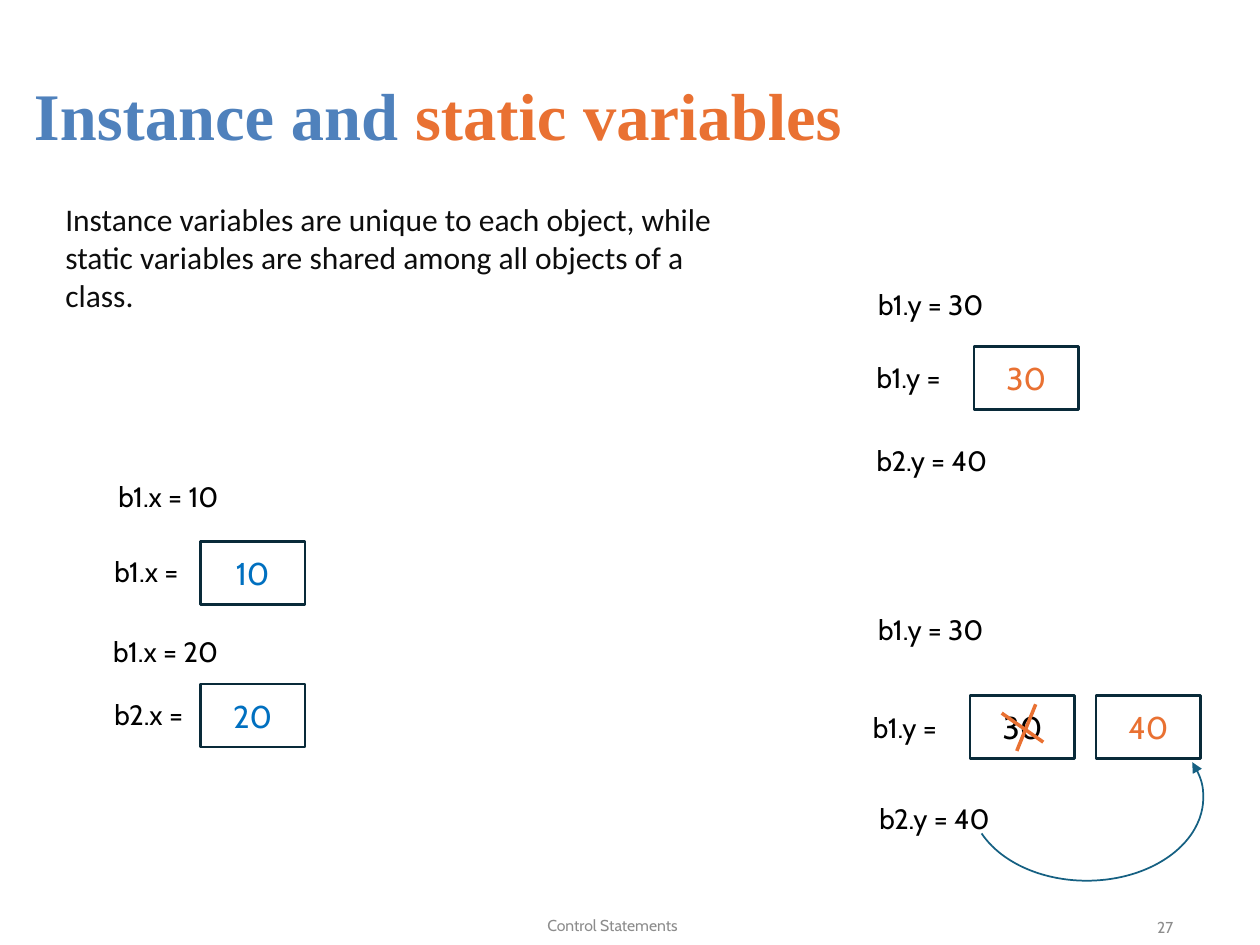
from pptx import Presentation
from pptx.dml.color import RGBColor as RGB
from pptx.enum.shapes import MSO_CONNECTOR as Link, MSO_SHAPE as Kind
from pptx.enum.text import MSO_ANCHOR as Anchor, MSO_AUTO_SIZE as Fit, PP_ALIGN as Align
from pptx.oxml.ns import qn
from pptx.util import Inches, Pt
from lxml.etree import SubElement

BLUE = RGB(0x4F, 0x81, 0xBC)
ORANGE = RGB(0xE9, 0x71, 0x32)
AZURE = RGB(0x00, 0x70, 0xC0)
NAVY = RGB(0x09, 0x2A, 0x39)
TEAL = RGB(0x15, 0x60, 0x82)
GRAY = RGB(0x8C, 0x8C, 0x8C)
INK = RGB(0x0D, 0x0D, 0x0D)
BLACK = RGB(0, 0, 0)
WHITE = RGB(0xFF, 0xFF, 0xFF)


class Board:
    font = "Cabin"

    def __init__(self, slide):
        self.slide = slide
        self.home = slide.shapes

    def group(self):
        self.home = self.slide.shapes.add_group_shape().shapes

    def leave(self):
        self.home = self.slide.shapes

    def style(self, run, size, color, font=None, bold=None):
        run.font.size = Pt(size)
        run.font.name = font or self.font
        run.font.color.rgb = color
        run.font.bold = bold

    def text(self, words, x, y, w, h, size=16, color=BLACK, font=None):
        box = self.home.add_textbox(Inches(x), Inches(y), Inches(w), Inches(h))
        frame = box.text_frame
        frame.word_wrap = True
        frame.auto_size = Fit.SHAPE_TO_FIT_TEXT
        frame.text = words
        self.style(frame.paragraphs[0].runs[0], size, color, font)
        return frame

    def title(self, parts, x, y, w, h):
        box = self.home.add_textbox(Inches(x), Inches(y), Inches(w), Inches(h))
        frame = box.text_frame
        frame.word_wrap = True
        frame.auto_size = Fit.SHAPE_TO_FIT_TEXT
        frame.margin_left = frame.margin_right = frame.margin_bottom = 0
        frame.margin_top = Inches(0.08)
        para = frame.paragraphs[0]
        para.space_before = Pt(6)
        para._p.get_or_add_pPr().set("marL", str(Inches(0.1)))
        for words, color in parts:
            run = para.add_run()
            run.text = words
            self.style(run, 38, color, "Times New Roman", True)

    def footer(self, words, x, w, align):
        frame = self.text(words, x, 7.14, w, 0.4, 9, GRAY)
        frame.auto_size = Fit.NONE
        frame.vertical_anchor = Anchor.MIDDLE
        frame.paragraphs[0].alignment = align
        return frame.paragraphs[0]

    def label(self, words, x, y):
        self.text(words, x, y, 0.83 if words.endswith("=") else 1.55, 0.37)

    def cell(self, words, x, y, color):
        box = self.home.add_shape(Kind.RECTANGLE, Inches(x), Inches(y), Inches(0.83), Inches(0.5))
        box.shadow.inherit = False
        box.fill.solid()
        box.fill.fore_color.rgb = WHITE
        box.line.color.rgb = NAVY
        box.line.width = Pt(1.5)
        frame = box.text_frame
        frame.text = words
        frame.vertical_anchor = Anchor.MIDDLE
        para = frame.paragraphs[0]
        para.alignment = Align.CENTER
        self.style(para.runs[0], 18, color)

    def stroke(self, *ends):
        line = self.home.add_connector(Link.STRAIGHT, *map(Inches, ends))
        line.line.color.rgb = ORANGE
        line.line.width = Pt(2)
        SubElement(line._element.spPr, qn("a:effectLst"))

    def arc(self, x, y, w, h, start, end):
        curve = self.home.add_shape(Kind.ARC, Inches(x), Inches(y), Inches(w), Inches(h))
        curve.adjustments[0] = start
        curve.adjustments[1] = end
        curve.shadow.inherit = False
        curve.fill.background()
        curve.line.color.rgb = TEAL
        curve.line.width = Pt(1)
        SubElement(curve.line._get_or_add_ln(), qn("a:headEnd"), type="triangle")


def main():
    deck = Presentation()
    deck.slide_width, deck.slide_height = Inches(10), Inches(7.5)
    board = Board(deck.slides.add_slide(deck.slide_layouts[6]))

    board.title([("Instance and ", BLUE), ("static variables", ORANGE)], 0.17, 0.51, 9.83, 0.72)
    board.footer("Control Statements", 3.17, 3.38, Align.CENTER)
    number = board.footer("27", 7.16, 2.25, Align.RIGHT)
    number.line_spacing = Pt(14.1)
    number._p.get_or_add_pPr().set("marL", str(Inches(0.04)))

    board.group()
    for value, y in (("10", 4.3), ("20", 5.43)):
        board.cell(value, 1.59, y, AZURE)
    for words, x, y in (
        ("b1.x =", 0.81, 4.35),
        ("b1.x = 10", 0.84, 3.76),
        ("b1.x = 20", 0.8, 4.99),
        ("b2.x =", 0.81, 5.49),
    ):
        board.label(words, x, y)

    board.group()
    for value, x, y, color in (
        ("30", 7.7, 5.52, BLACK),
        ("40", 8.7, 5.52, ORANGE),
        ("30", 7.73, 2.75, ORANGE),
    ):
        board.cell(value, x, y, color)
    for words, x, y in (
        ("b1.y =", 6.83, 5.59),
        ("b1.y = 30", 6.87, 4.81),
        ("b2.y = 40", 6.88, 6.31),
        ("b1.y =", 6.86, 2.81),
        ("b1.y = 30", 6.87, 2.23),
        ("b2.y = 40", 6.86, 3.47),
    ):
        board.label(words, x, y)
    board.arc(7.7, 5.67, 1.85, 1.32, 204.88, 96.7)
    board.stroke(7.95, 5.66, 8.28, 5.89)
    board.stroke(8.22, 5.59, 8.07, 5.96)

    board.leave()
    board.text(
        "Instance variables are unique to each object, while static variables "
        "are shared among all objects of a class.",
        0.42, 1.54, 5.5, 1.01, 18, INK, "Calibri",
    )
    deck.save("out.pptx")


if __name__ == "__main__":
    main()
